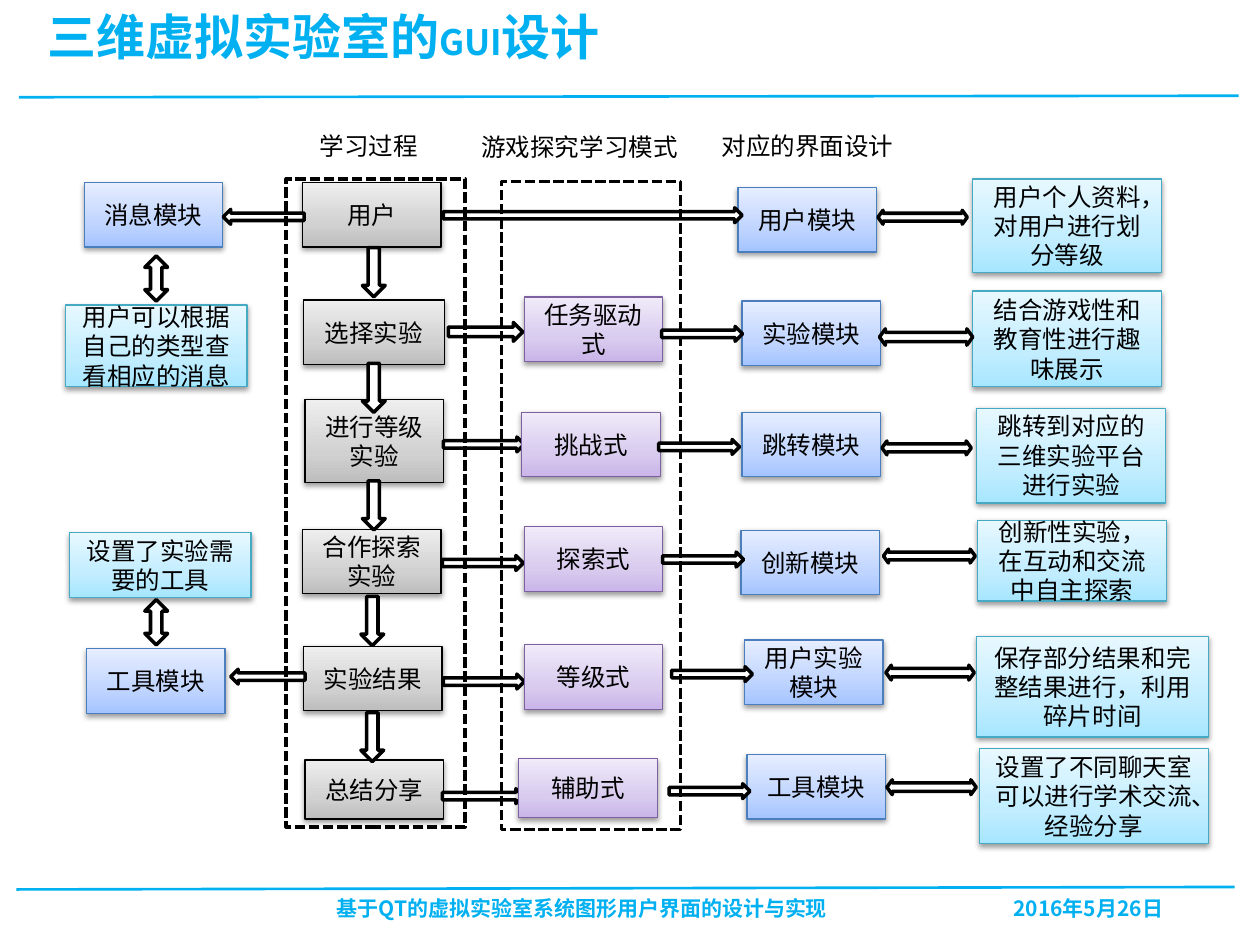
from copy import deepcopy
from dataclasses import dataclass

from lxml import etree
from pptx import Presentation
from pptx import util as u
from pptx.dml.color import RGBColor
from pptx.enum import dml, shapes, text
from pptx.oxml.ns import qn

COLORS = {"accent": "00B0F0", "ink": "000000", "paper": "FFFFFF"}
# Gradient from bottom to top, then the outline
THEMES = {
    "process": ("BDBDBD", "D1D1D1", "EEEEEE", "000000"),
    "module": ("A4C4FF", "BFD4FF", "E6EEFF", "4B7EBC"),
    "detail": ("A7E6FF", "C1EDFF", "E7F8FF", "46AAC5"),
    "mode": ("C9B5E8", "D8CBEE", "F0EAF9", "7D60A0"),
}
STOPS = (0, 0.35, 1)
BODY_FONT, TITLE_FONT = "Noto Sans CJK SC", "Noto Sans CJK JP"
KIND = shapes.MSO_SHAPE


@dataclass
class Box:
    theme: str
    left: float
    top: float
    label: str
    width: float = 2.79
    height: float = 1.3


@dataclass
class Arrow:
    left: float
    top: float
    width: float = 1.63
    height: float = 0.3
    kind: int = KIND.RIGHT_ARROW
    turn: int = 0


STEPS = [
    Box("process", 6.1, 3.68, "用户"),
    Box("process", 6.12, 6.05, "选择实验", width=2.84),
    Box("process", 6.15, 8.05, "进行等级实验", height=1.68),
    Box("process", 6.1, 10.67, "合作探索实验"),
    Box("process", 6.12, 13.03, "实验结果"),
    Box("process", 6.15, 15.32, "总结分享", height=1.19),
]
MODULES = [
    Box("module", 1.7, 3.68, "消息模块"),
    Box("module", 1.75, 13.08, "工具模块"),
    Box("module", 14.88, 3.78, "用户模块"),
    Box("module", 14.96, 6.07, "实验模块"),
    Box("module", 14.96, 8.31, "跳转模块"),
    Box("module", 14.94, 10.69, "创新模块"),
    Box("module", 15.01, 12.9, "用户实验模块"),
    Box("module", 15.06, 15.21, "工具模块"),
]
DETAILS = [
    Box("detail", 1.32, 6.15, "用户可以根据自己的类型查看相应的消息", 3.66, 1.65),
    Box("detail", 1.4, 10.74, "设置了实验需要的工具", 3.66),
    Box("detail", 19.61, 3.61, "用户个人资料，对用户进行划分等级", 3.81, 1.88),
    Box("detail", 19.61, 5.87, "结合游戏性和教育性进行趣味展示", 3.81, 1.93),
    Box("detail", 19.69, 8.23, "跳转到对应的三维实验平台进行实验", 3.81, 1.91),
    Box("detail", 19.71, 10.49, "创新性实验，在互动和交流中自主探索", 3.81, 1.63),
    Box("detail", 19.69, 12.83, "保存部分结果和完整结果进行，利用碎片时间", 4.67, 2.03),
    Box("detail", 19.74, 15.09, "设置了不同聊天室可以进行学术交流、经验分享", 4.62, 1.91),
]
MODES = [
    Box("mode", 10.57, 5.99, "任务驱动式"),
    Box("mode", 10.52, 8.31, "挑战式"),
    Box("mode", 10.57, 10.62, "探索式"),
    Box("mode", 10.57, 13, "等级式"),
    Box("mode", 10.46, 15.29, "辅助式", height=1.19),
]
STEP_ARROWS = [Arrow(left, top, 0.99, 0.46, turn=90) for left, top in
               [(7.04, 5.26), (7.04, 7.59), (7.04, 9.96), (7.01, 12.29), (7.01, 14.63)]]
SIDE_ARROWS = [Arrow(4.5, 4.22, turn=180), Arrow(4.65, 13.49, 1.5, turn=180)]
TO_MODE_ARROWS = [Arrow(9.04, 6.5, 1.5, 0.38), Arrow(8.94, 8.81), Arrow(8.92, 11.2),
                  Arrow(8.94, 13.59), Arrow(8.92, 15.9)]
TO_MODULE_ARROWS = [Arrow(8.94, 4.19, 6.02), Arrow(13.34, 6.58), Arrow(13.28, 8.86),
                    Arrow(13.36, 11.13), Arrow(13.54, 13.44), Arrow(13.49, 15.8)]
DETAIL_ARROWS = [Arrow(*place, kind=KIND.LEFT_RIGHT_ARROW) for place in
                 [(17.7, 4.24, 1.8, 0.28), (17.73, 6.63, 1.88, 0.33),
                  (17.78, 8.89, 1.8, 0.28), (17.81, 11.07, 1.85, 0.28),
                  (17.86, 13.41, 1.78, 0.3), (17.88, 15.72, 1.8, 0.3)]]
NOTE_ARROWS = [Arrow(2.92, top, 0.46, 0.91, KIND.UP_DOWN_ARROW) for top in (5.16, 12.09)]
HEADINGS = [
    ("学习过程", 5.84, 2.67, 3.2, 0.53),
    ("游戏探究学习模式", 9.12, 2.72, 5.13, 0.46),
    ("对应的界面设计", 13.97, 2.59, 4.62, 0.69),
]
FRAMES = [(5.77, 3.61, 3.61, 13.06), (10.11, 3.66, 3.61, 13.06)]
RULES = [(0.38, 1.96, 24.97, 1.93), (0.33, 17.93, 24.89, 17.88)]


def rgb(value: str) -> RGBColor:
    return RGBColor.from_string(value)


def style_paragraph(paragraph, size: float, face: str, color: str, bold: bool = False) -> None:
    """Set the paragraph font for both Latin and East Asian letters."""
    font = paragraph.font
    font.size, font.name, font.bold = u.Pt(size), face, bold
    font.color.rgb = rgb(color)
    defaults = paragraph._p.find(f"{qn('a:pPr')}/{qn('a:defRPr')}")
    etree.SubElement(defaults, qn("a:ea"), typeface=face)


def add_shape(slide, kind, left: float, top: float, width: float, height: float,
              outline: str, weight: float = 2):
    shape = slide.shapes.add_shape(kind, *map(u.Cm, (left, top, width, height)))
    shape.shadow.inherit = False
    shape.line.color.rgb = rgb(outline)
    shape.line.width = u.Pt(weight)
    return shape


def add_label(shape, label: str) -> None:
    frame = shape.text_frame
    frame.word_wrap = True
    frame.vertical_anchor = text.MSO_ANCHOR.MIDDLE
    paragraph = frame.paragraphs[0]
    paragraph.text = label
    paragraph.alignment = text.PP_ALIGN.CENTER
    style_paragraph(paragraph, 14, BODY_FONT, COLORS["ink"])


def add_gradient(shape, shades: tuple) -> None:
    """Fill upwards through three shades."""
    shape.fill.gradient()
    shape.fill.gradient_angle = 90
    stop_list = next(shape._element.iter(qn("a:gsLst")))
    stop_list.append(deepcopy(stop_list[0]))
    for stop, position, shade in zip(shape.fill.gradient_stops, STOPS, shades):
        stop.position = position
        stop.color.rgb = rgb(shade)


def add_drop_shadow(shape) -> None:
    effects = next(shape._element.iter(qn("a:effectLst")))
    shadow = etree.SubElement(effects, qn("a:outerShdw"), blurRad="40000", dist="20000",
                              dir="5400000", rotWithShape="0")
    tone = etree.SubElement(shadow, qn("a:srgbClr"), val=COLORS["ink"])
    etree.SubElement(tone, qn("a:alpha"), val="38000")


def add_box(slide, box: Box) -> None:
    *shades, outline = THEMES[box.theme]
    shape = add_shape(slide, KIND.RECTANGLE, box.left, box.top, box.width, box.height,
                      outline, 0.75)
    add_gradient(shape, shades)
    add_drop_shadow(shape)
    add_label(shape, box.label)


def add_arrow(slide, arrow: Arrow) -> None:
    shape = add_shape(slide, arrow.kind, arrow.left, arrow.top, arrow.width, arrow.height,
                      COLORS["ink"])
    shape.fill.solid()
    shape.fill.fore_color.rgb = rgb(COLORS["paper"])
    shape.rotation = arrow.turn
    if arrow.kind == KIND.LEFT_RIGHT_ARROW:
        shape.adjustments[0], shape.adjustments[1] = 0.568, 0.363


def add_heading(slide, label: str, *place: float) -> None:
    heading = add_shape(slide, KIND.RECTANGLE, *place, COLORS["paper"])
    heading.fill.solid()
    heading.fill.fore_color.rgb = rgb(COLORS["paper"])
    add_label(heading, label)


def add_frame(slide, *place: float) -> None:
    frame = add_shape(slide, KIND.RECTANGLE, *place, COLORS["ink"])
    frame.fill.background()
    frame.line.dash_style = dml.MSO_LINE.SQUARE_DOT


def add_rule(slide, *ends: float) -> None:
    rule = slide.shapes.add_connector(shapes.MSO_CONNECTOR.STRAIGHT, *map(u.Cm, ends))
    rule.line.color.rgb = rgb(COLORS["accent"])
    rule.line.width = u.Pt(1.5)
    etree.SubElement(rule._element.spPr, qn("a:effectLst"))


def add_text(slide, *place: float):
    frame = slide.shapes.add_textbox(*map(u.Cm, place)).text_frame
    frame.word_wrap = True
    return frame


def add_title(slide) -> None:
    frame = add_text(slide, 0.71, 0, 12.78, 1.45)
    frame.vertical_anchor = text.MSO_ANCHOR.MIDDLE
    paragraph = frame.paragraphs[0]
    style_paragraph(paragraph, 28, TITLE_FONT, COLORS["accent"], bold=True)
    for part, size in [("三维虚拟实验室的", 28), ("GUI", 20), ("设计", 28)]:
        run = paragraph.add_run()
        run.text = part
        run.font.size = u.Pt(size)


def add_footer(slide) -> None:
    """Place the thesis name and the date on two tab stops."""
    paragraph = add_text(slide, 0.3, 17.93, 24.41, 0.76).paragraphs[0]
    paragraph.text = "\t基于QT的虚拟实验室系统图形用户界面的设计与实现\t2016年5月26日"
    style_paragraph(paragraph, 12, TITLE_FONT, COLORS["accent"], bold=True)
    tabs = etree.Element(qn("a:tabLst"))
    for position in (6.24, 19.88):
        etree.SubElement(tabs, qn("a:tab"), pos=str(u.Cm(position)), algn="l")
    paragraph._p.pPr.insert(0, tabs)


def main() -> None:
    deck = Presentation()
    deck.slide_width, deck.slide_height = u.Cm(25.4), u.Cm(19.05)
    slide = deck.slides.add_slide(deck.slide_layouts[6])
    for rule in RULES:
        add_rule(slide, *rule)
    add_footer(slide)
    add_title(slide)
    for box in STEPS + MODULES + DETAILS:
        add_box(slide, box)
    for arrow in STEP_ARROWS + SIDE_ARROWS + TO_MODE_ARROWS + NOTE_ARROWS + DETAIL_ARROWS:
        add_arrow(slide, arrow)
    for heading in HEADINGS:
        add_heading(slide, *heading)
    for box in MODES:
        add_box(slide, box)
    for arrow in TO_MODULE_ARROWS:
        add_arrow(slide, arrow)
    for frame in FRAMES:
        add_frame(slide, *frame)
    deck.save("out.pptx")


if __name__ == "__main__":
    main()
